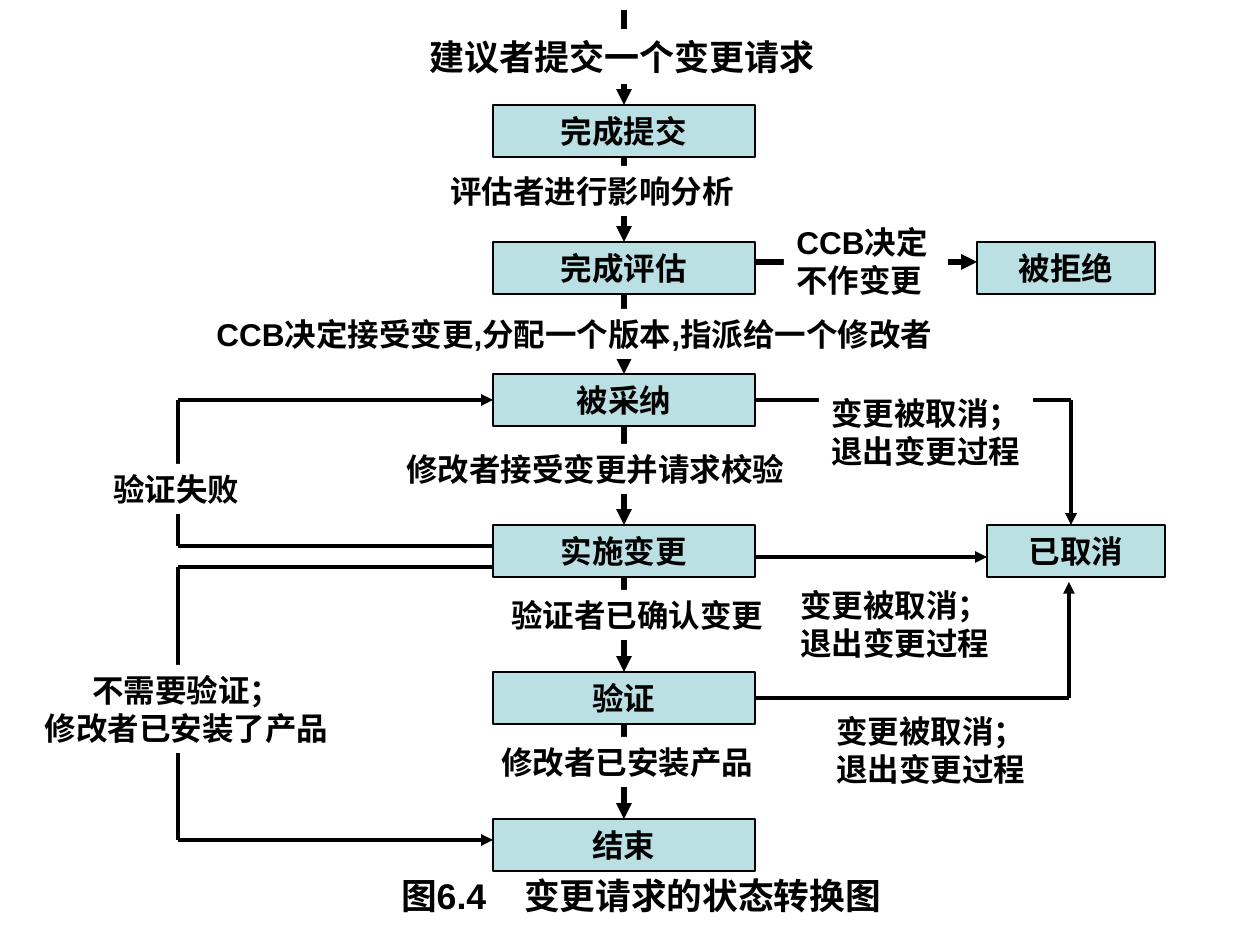
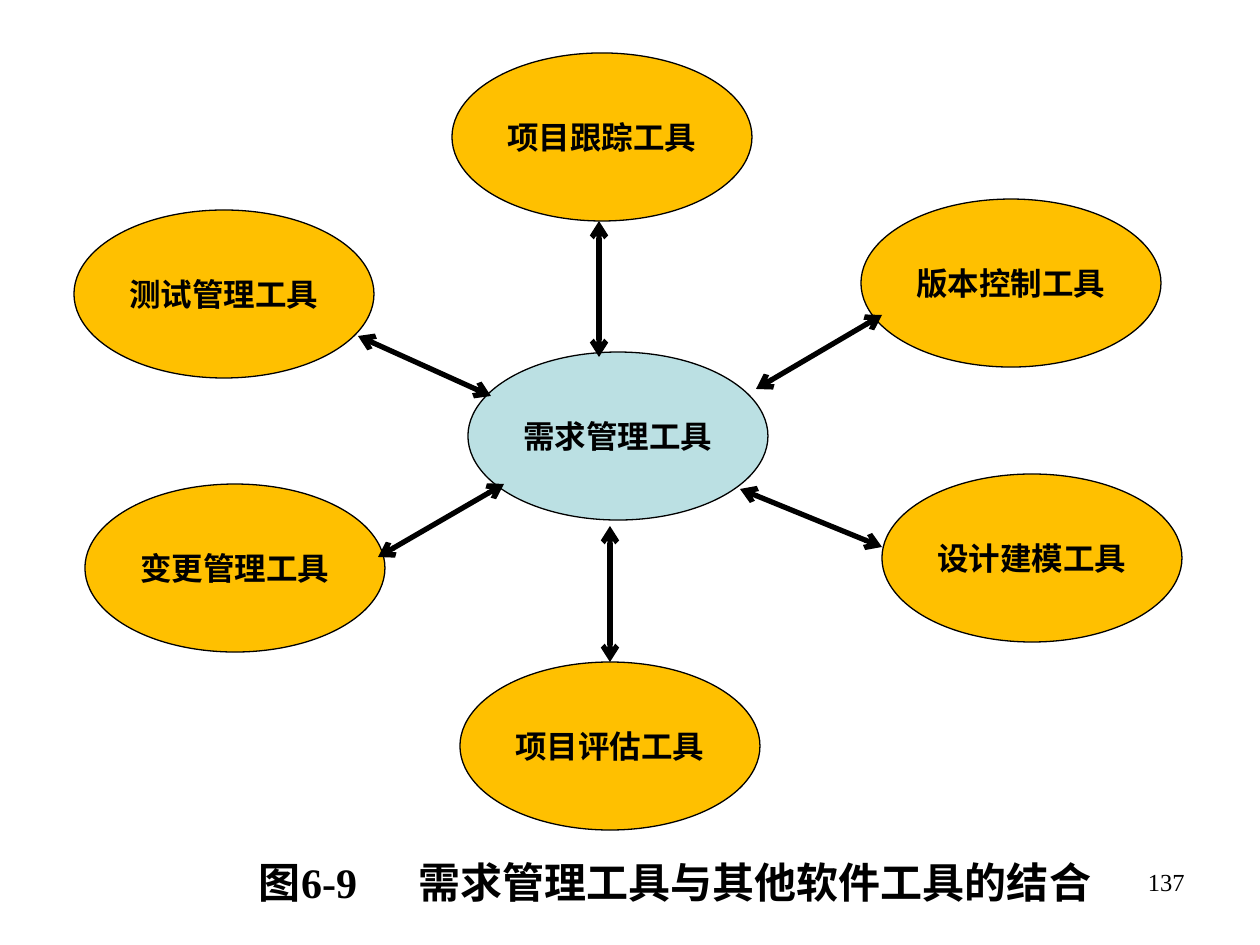
from lxml.etree import SubElement
from pptx import Presentation
from pptx.dml.color import RGBColor
from pptx.enum.shapes import MSO_CONNECTOR, MSO_SHAPE
from pptx.enum.text import MSO_ANCHOR, MSO_AUTO_SIZE, PP_ALIGN
from pptx.oxml.ns import qn
from pptx.util import Emu, Pt

PX_PER_INCH = 126
BLACK, WHITE, TEAL, AMBER = "000000", "FFFFFF", "BBE0E3", "FFC000"
SANS, SERIF = "Arial", "Times New Roman"
TOP, LEFT, BOTTOM, RIGHT = range(4)
TITLE_ONLY = 5

STATE_HEIGHT = 52
MAIN_X, MAIN_WIDTH = 493, 262
SIDE_WIDTH = 178
MAIN_STATES = [("完成提交", 105), ("完成评估", 242), ("被采纳", 374),
               ("实施变更", 525), ("验证", 672), ("结束", 819)]
SIDE_STATES = [("被拒绝", 977, 242), ("已取消", 987, 525)]

REQUEST_ARROW = [(624, 10), ("完成提交", TOP)]
REJECT_ARROW = [(755, 262), (977, 262)]
ROUTES = [
    [(493, 546), (178, 546), (178, 400), ("被采纳", LEFT)],
    [(493, 567), (178, 567), (178, 840), (493, 840)],
    [("被采纳", RIGHT), (1071, 400), (1071, 525)],
    [(755, 557), (987, 557)],
    [("验证", RIGHT), (1069, 698), (1069, 582)],
]
CANCELLED = ["变更被取消；", "退出变更过程"]
TRANSITIONS = [
    (["建议者提交一个变更请求"], (417, 29, 411, 55), 20, PP_ALIGN.LEFT),
    (["评估者进行影响分析"], (438, 166, 309, 50), 18, PP_ALIGN.LEFT),
    (["CCB决定接受变更,分配一个版本,指派给一个修改者"], (204, 309, 779, 50), 18, PP_ALIGN.LEFT),
    (["修改者接受变更并请求校验"], (394, 444, 403, 50), 18, PP_ALIGN.LEFT),
    (["验证者已确认变更"], (499, 590, 277, 50), 18, PP_ALIGN.LEFT),
    (["修改者已安装产品"], (489, 737, 277, 50), 18, PP_ALIGN.LEFT),
    (["CCB决定", "不作变更"], (784, 217, 164, 88), 18, PP_ALIGN.LEFT),
    (CANCELLED, (819, 388, 214, 88), 18, PP_ALIGN.LEFT),
    (CANCELLED, (788, 580, 214, 88), 18, PP_ALIGN.LEFT),
    (CANCELLED, (824, 706, 214, 88), 18, PP_ALIGN.LEFT),
    (["验证失败"], (101, 464, 151, 50), 18, PP_ALIGN.LEFT),
    (["不需要验证；", "修改者已安装了产品"], (32, 665, 309, 88), 18, PP_ALIGN.CENTER),
]

TOOL_WIDTH, TOOL_HEIGHT = 300, 168
TOOLS = [
    ("需求管理工具", 468, 352, TEAL),
    ("测试管理工具", 74, 210, AMBER),
    ("变更管理工具", 85, 484, AMBER),
    ("版本控制工具", 861, 199, AMBER),
    ("设计建模工具", 882, 474, AMBER),
    ("项目跟踪工具", 452, 53, AMBER),
    ("项目评估工具", 460, 662, AMBER),
]
TOOL_LINKS = [
    ((610, 526), (610, 662)),
    ((599, 221), (599, 357)),
    ((882, 315), (756, 389)),
    ((504, 484), (378, 557)),
    ((358, 336), (491, 396)),
    ((740, 489), (882, 547)),
]
PAGE_NUMBER = "137"


def px(*lengths):
    return [Emu(round(length * 914400 / PX_PER_INCH)) for length in lengths]


def color(hex_string):
    return RGBColor.from_string(hex_string)


def write(frame, lines, size, font, bold=True, align=PP_ALIGN.CENTER):
    for index, line in enumerate(lines):
        paragraph = frame.add_paragraph() if index else frame.paragraphs[0]
        paragraph.alignment = align
        run = paragraph.add_run()
        run.text = line
        run.font.size = Pt(size)
        run.font.name = font
        run.font.bold = bold
        run.font.color.rgb = color(BLACK)


def add_caption(slide, number, wording, box, inset, tab, size, font):
    caption = slide.shapes.title
    caption.left, caption.top, caption.width, caption.height = px(*box)
    frame = caption.text_frame
    frame.auto_size = MSO_AUTO_SIZE.NONE
    frame.word_wrap = True
    frame.vertical_anchor = MSO_ANCHOR.MIDDLE
    frame.margin_left, frame.margin_right = px(inset, 0)
    frame.margin_top = frame.margin_bottom = 0
    properties = frame.paragraphs[0]._p.get_or_add_pPr()
    stops = SubElement(properties, qn("a:tabLst"))
    SubElement(stops, qn("a:tab"), pos=str(px(tab)[0]), algn="l")
    write(frame, [f"{number}\t{wording}"], size, font, align=PP_ALIGN.LEFT)


def add_node(slide, preset, lines, box, fill, font, size=18,
             align=PP_ALIGN.CENTER, outlined=True):
    node = slide.shapes.add_shape(preset, *px(*box))
    node.shadow.inherit = False
    node.fill.solid()
    node.fill.fore_color.rgb = color(fill)
    if outlined:
        node.line.color.rgb = color(BLACK)
        node.line.width = Pt(0.75)
    else:
        node.line.fill.background()
    node.text_frame.word_wrap = False
    node.text_frame.vertical_anchor = MSO_ANCHOR.MIDDLE
    write(node.text_frame, lines, size, font, align=align)
    return node


def add_link(slide, start, end, width, head=None, tail=None, states=None):
    states = states or {}
    corners = [(0, 0) if point[0] in states else point for point in (start, end)]
    link = slide.shapes.add_connector(MSO_CONNECTOR.STRAIGHT, *px(*corners[0], *corners[1]))
    if start[0] in states:
        link.begin_connect(states[start[0]], start[1])
    if end[0] in states:
        link.end_connect(states[end[0]], end[1])
    link.line.color.rgb = color(BLACK)
    link.line.width = Pt(width)
    properties = link._element.spPr
    for tag, kind in (("a:headEnd", head), ("a:tailEnd", tail)):
        if kind:
            SubElement(properties.find(qn("a:ln")), qn(tag), type=kind)
    SubElement(properties, qn("a:effectLst"))


def add_route(slide, points, width, states):
    legs = list(zip(points, points[1:]))
    for leg, (start, end) in enumerate(legs, 1):
        tail = "triangle" if leg == len(legs) else None
        add_link(slide, start, end, width, tail=tail, states=states)


def build_state_diagram(slide):
    add_caption(slide, "图6.4", "变更请求的状态转换图", (220, 867, 840, 57), 181, 123, 20.4, SANS)
    boxes = [(name, MAIN_X, top, MAIN_WIDTH) for name, top in MAIN_STATES]
    boxes += [(name, left, top, SIDE_WIDTH) for name, left, top in SIDE_STATES]
    states = {
        name: add_node(slide, MSO_SHAPE.RECTANGLE, [name],
                       (left, top, width, STATE_HEIGHT), TEAL, SANS)
        for name, left, top, width in boxes
    }
    steps = [[(before, BOTTOM), (after, TOP)]
             for (before, _), (after, _) in zip(MAIN_STATES, MAIN_STATES[1:])]
    for arrow in [REQUEST_ARROW, REJECT_ARROW, *steps]:
        add_route(slide, arrow, 3, states)
    for route in ROUTES:
        add_route(slide, route, 2.25, states)
    for lines, box, size, align in TRANSITIONS:
        add_node(slide, MSO_SHAPE.RECTANGLE, lines, box, WHITE, SANS, size, align, outlined=False)


def build_tool_map(slide):
    add_caption(slide, "图6-9", "需求管理工具与其他软件工具的结合",
                (246, 850, 867, 63), 13, 160, 24, SERIF)
    for name, left, top, fill in TOOLS:
        add_node(slide, MSO_SHAPE.OVAL, [name], (left, top, TOOL_WIDTH, TOOL_HEIGHT), fill, SERIF)
    for start, end in TOOL_LINKS:
        add_link(slide, start, end, 3, head="arrow", tail="arrow")
    page = slide.shapes.add_textbox(*px(903, 861, 294, 66)).text_frame
    page.word_wrap = True
    write(page, [PAGE_NUMBER], 14, SERIF, bold=False, align=PP_ALIGN.RIGHT)


def main():
    deck = Presentation()
    deck.slide_width, deck.slide_height = px(1260, 945)
    for build in (build_state_diagram, build_tool_map):
        build(deck.slides.add_slide(deck.slide_layouts[TITLE_ONLY]))
    deck.save("out.pptx")


if __name__ == "__main__":
    main()
